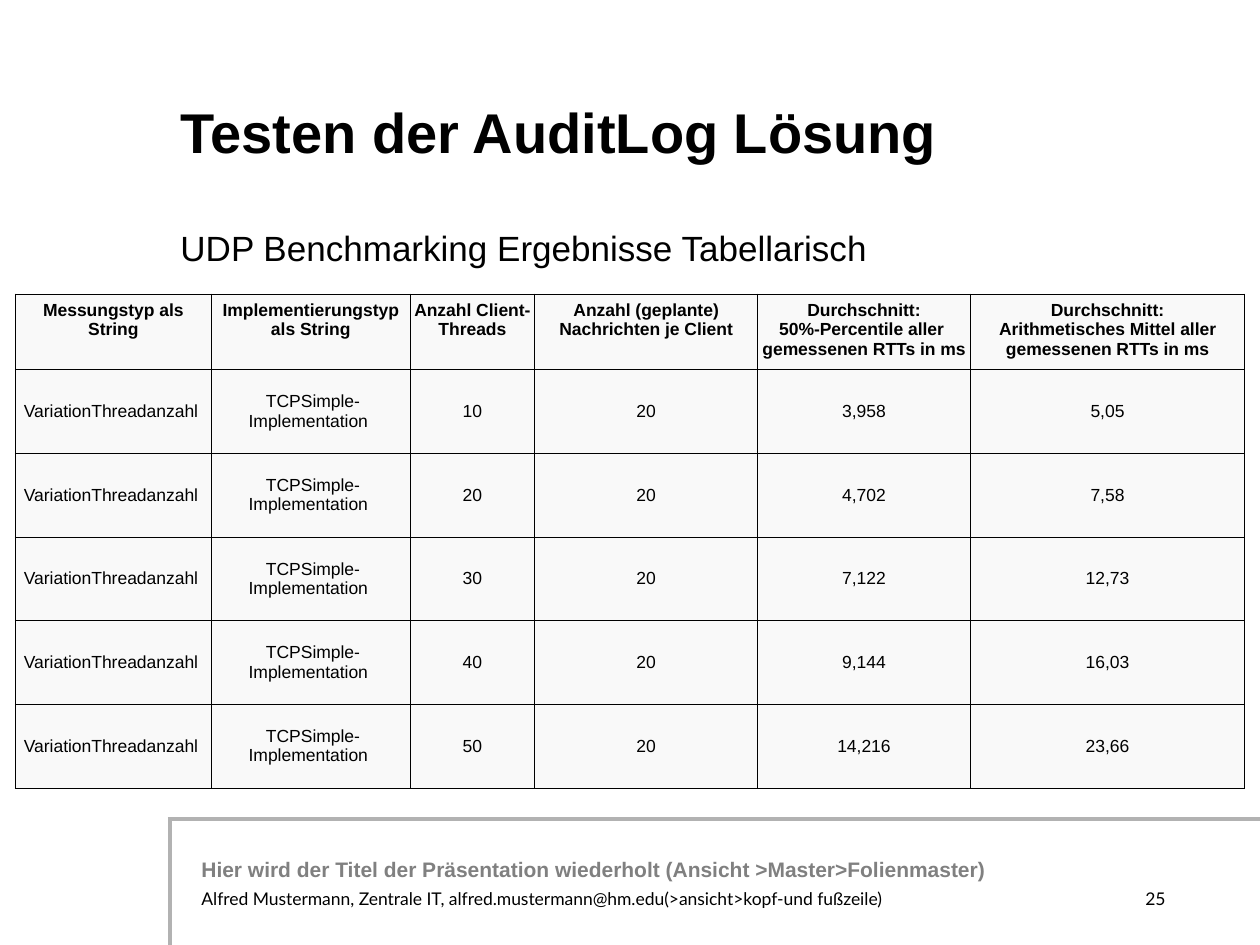
"""Build the slide with the tabular UDP benchmarking results."""
from copy import deepcopy
from dataclasses import dataclass

from lxml.etree import SubElement
from pptx import Presentation
from pptx.dml.color import RGBColor as Rgb
from pptx.enum.shapes import MSO_CONNECTOR as Connector
from pptx.enum.text import MSO_ANCHOR as Anchor, PP_ALIGN as Align
from pptx.oxml.ns import qn
from pptx.util import Inches, Pt


@dataclass(frozen=True)
class Theme:
    font: str = "Arial"
    footer_font: str = "Lato"
    ink: str = "000000"
    footer_title: str = "808080"
    frame: str = "B2B2B2"
    cell: str = "F9F9F9"
    title_size: int = 32
    subtitle_size: int = 20
    footer_title_size: int = 12
    small_size: int = 10
    frame_width: float = 2.25
    border_width: float = 0.45


THEME = Theme()
SLIDE_COLUMNS, SLIDE_ROWS = 120, 90
COLUMN_WIDTHS = (18.7, 18.9, 11.9, 21.2, 20.3, 26.1)
HEADER_HEIGHT, BODY_HEIGHT = 7.1, 7.97
HEADINGS = (
    "Messungstyp als String",
    "Implementierungstyp als String",
    "Anzahl Client-Threads",
    "Anzahl (geplante) Nachrichten je Client",
    "Durchschnitt:\n50%-Percentile aller \ngemessenen RTTs in ms",
    "Durchschnitt:\nArithmetisches Mittel aller gemessenen RTTs in ms",
)
MEASUREMENTS = (
    ("10", "3,958", "5,05"),
    ("20", "4,702", "7,58"),
    ("30", "7,122", "12,73"),
    ("40", "9,144", "16,03"),
    ("50", "14,216", "23,66"),
)


def grid(*steps):
    return [Inches(step / 12) for step in steps]


def write(frame, text, size=THEME.small_size, font=THEME.font, color=THEME.ink,
          bold=False, align=Align.LEFT):
    paragraph = frame.paragraphs[0]
    paragraph.text = text
    paragraph.alignment = align
    for run in paragraph.runs:
        run.font.size = Pt(size)
        run.font.name = font
        run.font.bold = bold
        run.font.color.rgb = Rgb.from_string(color)
    for line_break in paragraph._p.findall(qn("a:br")):
        line_break.insert(0, deepcopy(paragraph.runs[0]._r.rPr))


def add_label(slide, area, text, anchor=Anchor.TOP, right_inset=0.1, **style):
    frame = slide.shapes.add_textbox(*grid(*area)).text_frame
    frame.word_wrap = True
    frame.vertical_anchor = anchor
    frame.margin_right = Inches(right_inset)
    write(frame, text, **style)


def add_frame_line(slide, *ends):
    line = slide.shapes.add_connector(Connector.STRAIGHT, *grid(*ends))
    line.line.color.rgb = Rgb.from_string(THEME.frame)
    line.line.width = Pt(THEME.frame_width)
    SubElement(line._element.spPr, qn("a:effectLst"))


def style_cell(cell, anchor):
    cell.margin_left = cell.margin_right = Inches(0.01)
    cell.margin_top = cell.margin_bottom = Inches(0.05)
    cell.vertical_anchor = anchor
    properties = cell._tc.get_or_add_tcPr()
    for side in ("a:lnL", "a:lnR", "a:lnT", "a:lnB"):
        border = SubElement(properties, qn(side), w=str(Pt(THEME.border_width)))
        SubElement(SubElement(border, qn("a:solidFill")), qn("a:srgbClr"), val=THEME.ink)
    cell.fill.solid()
    cell.fill.fore_color.rgb = Rgb.from_string(THEME.cell)


def add_results(slide, left, top):
    body = [("VariationThreadanzahl ", " TCPSimple-Implementation ", threads, "20", median, mean)
            for threads, median, mean in MEASUREMENTS]
    records = [HEADINGS, *body]
    heights = [HEADER_HEIGHT] + [BODY_HEIGHT] * len(body)
    area = grid(left, top, sum(COLUMN_WIDTHS), sum(heights))
    table = slide.shapes.add_table(len(records), len(HEADINGS), *area).table
    for column, width in zip(table.columns, grid(*COLUMN_WIDTHS)):
        column.width = width
    for row, height, record in zip(table.rows, grid(*heights), records):
        row.height = height
        heading = record is HEADINGS
        for cell, text in zip(row.cells, record):
            style_cell(cell, Anchor.TOP if heading else Anchor.MIDDLE)
            write(cell.text_frame, text, bold=heading, align=Align.CENTER)


def add_footer(slide):
    add_frame_line(slide, 16, 78, SLIDE_COLUMNS, 78)
    add_frame_line(slide, 16.2, SLIDE_ROWS, 16.2, 78)
    add_label(slide, (18, 81, 80, 3.6),
              "Hier wird der Titel der Präsentation wiederholt (Ansicht >Master>Folienmaster)",
              right_inset=0, size=THEME.footer_title_size, color=THEME.footer_title, bold=True)
    add_label(slide, (18, 84, 80, 3),
              "Alfred Mustermann, Zentrale IT, "
              "alfred.mustermann@hm.edu(>ansicht>kopf-und fußzeile)",
              font=THEME.footer_font)
    add_label(slide, (98, 84, 13, 3), "25", right_inset=0,
              font=THEME.footer_font, align=Align.RIGHT)


def main():
    deck = Presentation()
    deck.slide_width, deck.slide_height = grid(SLIDE_COLUMNS, SLIDE_ROWS)
    slide = deck.slides.add_slide(deck.slide_layouts[6])
    add_footer(slide)
    add_results(slide, 1.44, 28)
    add_label(slide, (16, 4, 95, 17), "Testen der AuditLog Lösung",
              anchor=Anchor.MIDDLE, size=THEME.title_size, bold=True)
    add_label(slide, (16, 21, 69.5, 6.1), "UDP Benchmarking Ergebnisse Tabellarisch",
              size=THEME.subtitle_size)
    deck.save("out.pptx")


if __name__ == "__main__":
    main()
